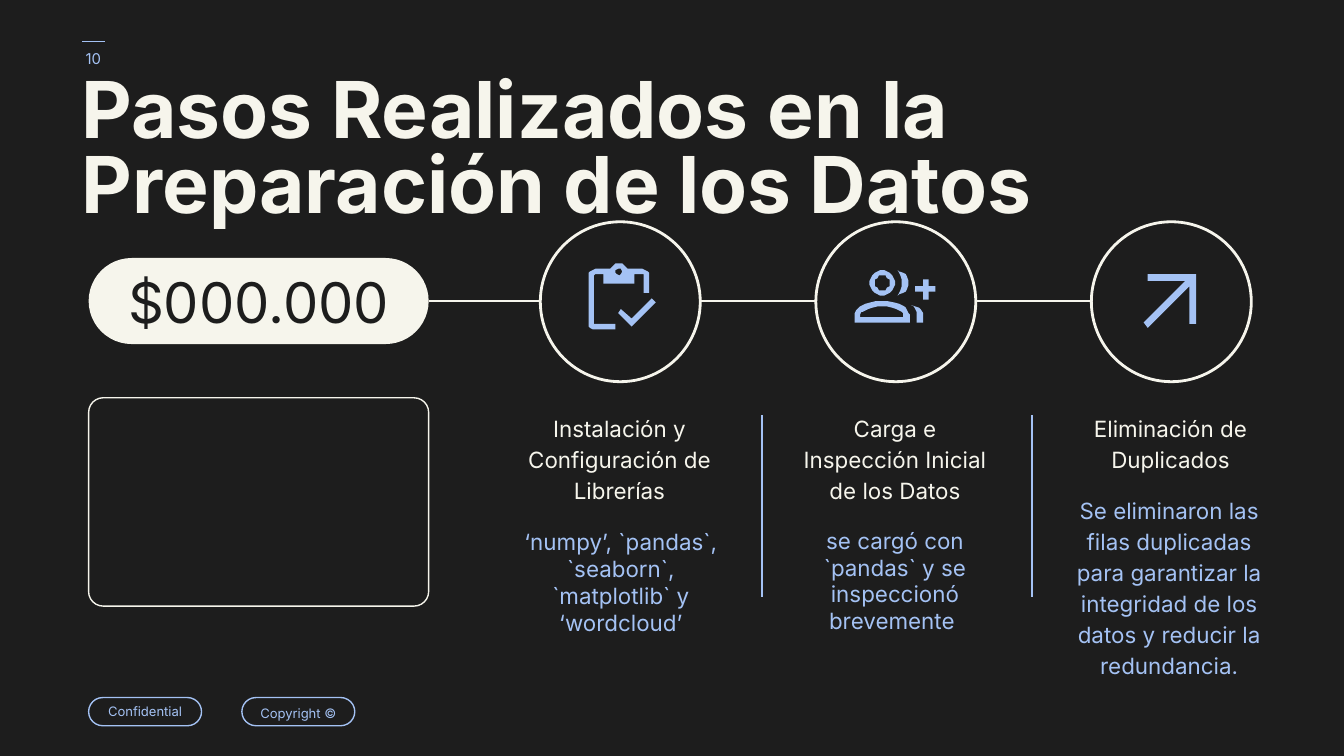
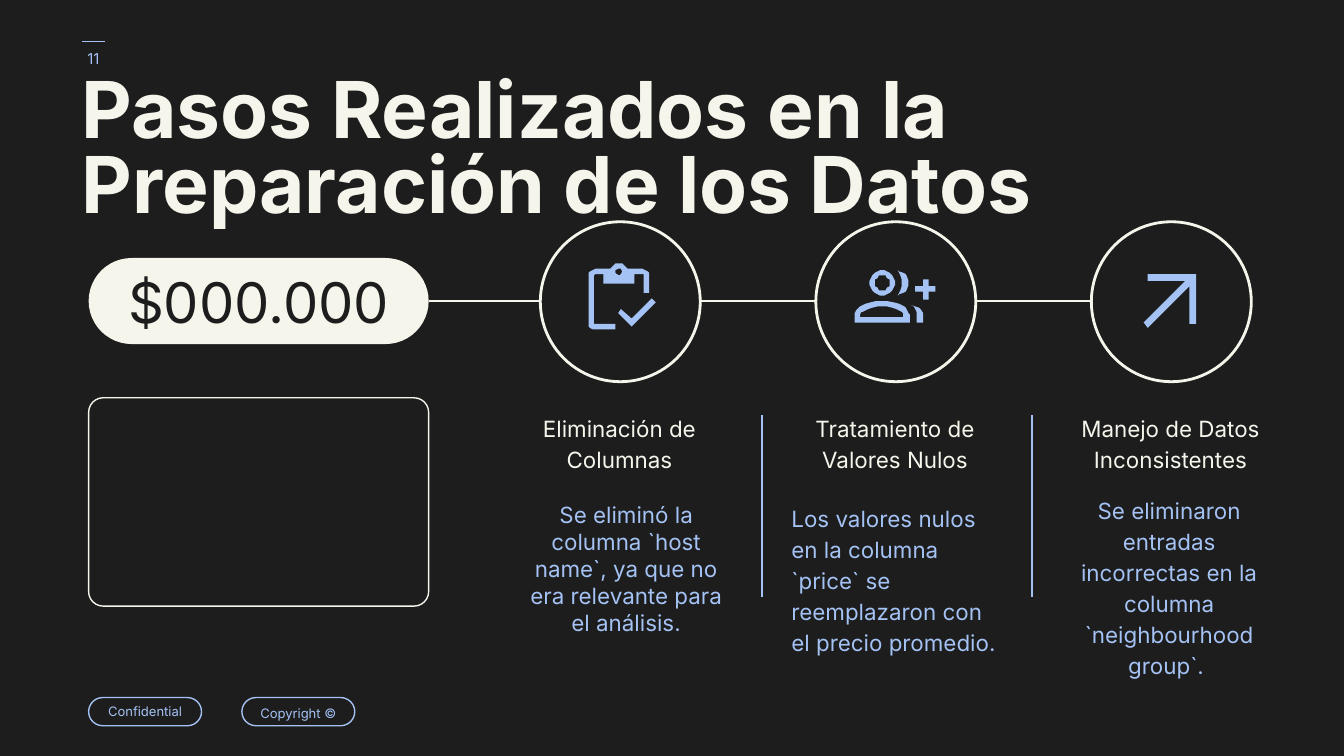
from dataclasses import dataclass

from lxml.etree import SubElement
from pptx import Presentation
from pptx.dml.color import RGBColor
from pptx.enum.shapes import MSO_CONNECTOR, MSO_SHAPE
from pptx.enum.text import MSO_ANCHOR, PP_ALIGN
from pptx.oxml.ns import qn
from pptx.util import Emu, Pt

PX = 9144  # EMU per px, 100 px to the inch
SLIDE_WIDTH = 1000 * PX
SLIDE_HEIGHT = SLIDE_WIDTH * 9 // 16
FONT = "Inter"
COLORS = {"dark": "1D1D1D", "cream": "F6F5EC", "blue": "A4C2F4"}
TITLE = "Pasos Realizados en la Preparación de los Datos"

# Timeline of steps
STEP_LEFT, STEP_PITCH, STEP_TOP, STEP_SIZE = 402, 205, 165, 119
TIMELINE_Y = 224
PANEL_LEFT, PANEL_WIDTH = 66, 253
DIVIDERS = (567, 768)

# Icons: each is a list of closed outlines, in px on the page
CLIPBOARD_ICON = [
    [(461, 200), (462, 200), (463, 202), (462, 204), (461, 205), (459, 204),
     (458, 203), (458, 201), (460, 200)],
    [(485, 222), (470, 237), (462, 230), (460, 233), (470, 243), (488, 225)],
    [(461, 196), (458, 196), (457, 197), (455, 199), (454, 200), (443, 200),
     (441, 201), (439, 202), (438, 203), (438, 243), (439, 244), (441, 245),
     (458, 245), (458, 241), (442, 241), (442, 205), (443, 204), (449, 204),
     (449, 211), (472, 211), (472, 204), (479, 204), (479, 218), (483, 218),
     (483, 203), (482, 202), (480, 201), (478, 200), (467, 200), (466, 199),
     (464, 197), (463, 196)],
]
PEOPLE_ICON = [
    # Head, its inside and the head behind it
    [(655, 201), (651, 203), (649, 205), (647, 209), (647, 212), (649, 216),
     (651, 218), (655, 220), (658, 220), (662, 218), (664, 216), (666, 212),
     (666, 209), (664, 205), (662, 203), (658, 201)],
    [(656, 205), (659, 205), (660, 207), (662, 208), (662, 213), (660, 214),
     (659, 216), (654, 216), (653, 214), (651, 213), (651, 208), (653, 207),
     (654, 205)],
    [(668, 201), (669, 203), (670, 205), (671, 208), (671, 213), (670, 216),
     (669, 218), (668, 220), (669, 219), (672, 218), (674, 217), (675, 215),
     (676, 212), (676, 209), (675, 206), (674, 204), (672, 203), (669, 202)],
    # Plus sign
    [(687, 208), (687, 213), (681, 213), (681, 217), (687, 217), (687, 223),
     (691, 223), (691, 217), (696, 217), (696, 213), (691, 213), (691, 208)],
    # Shoulders, their inside and the shoulder behind them
    [(656, 224), (652, 224), (648, 225), (644, 226), (640, 228), (639, 229),
     (637, 231), (636, 233), (636, 240), (677, 240), (677, 234), (676, 233),
     (675, 231), (674, 229), (673, 228), (669, 226), (665, 225), (660, 224)],
    [(656, 228), (660, 228), (664, 229), (667, 230), (671, 232), (672, 233),
     (672, 236), (640, 236), (640, 234), (641, 232), (642, 232), (646, 230),
     (649, 229), (653, 228)],
    [(678, 227), (680, 228), (681, 230), (682, 232), (682, 240), (687, 240),
     (687, 233), (685, 230), (684, 229), (681, 228)],
]
ARROW_ICON = [
    [(854, 204), (854, 209), (882, 209), (851, 240), (854, 244), (885, 213),
     (885, 241), (890, 241), (890, 204)],
]
ICONS = (CLIPBOARD_ICON, PEOPLE_ICON, ARROW_ICON)


@dataclass(frozen=True)
class Box:
    left: int
    top: int
    width: int
    height: int

    def emu(self) -> list[Emu]:
        return [Emu(n * PX) for n in (self.left, self.top, self.width, self.height)]


@dataclass(frozen=True)
class Style:
    size: int
    color: str
    align: PP_ALIGN = PP_ALIGN.CENTER
    spacing: float = 1.0
    bold: bool = False
    anchor: MSO_ANCHOR = MSO_ANCHOR.TOP


@dataclass(frozen=True)
class Step:
    heading: str
    detail: str
    box: Box
    spacing: float = 1.0
    align: PP_ALIGN = PP_ALIGN.CENTER


@dataclass(frozen=True)
class StepPage:
    number: int
    steps: tuple[Step, ...]


TITLE_STYLE = Style(42, "cream", PP_ALIGN.LEFT, 0.8, bold=True)
HEADING_STYLE = Style(12, "cream", spacing=1.15)
NUMBER_STYLE = Style(8, "blue", anchor=MSO_ANCHOR.MIDDLE)
AMOUNT_STYLE = Style(30, "dark", anchor=MSO_ANCHOR.MIDDLE)
FOOTERS = (
    ("Confidential", 66, Style(7, "blue", anchor=MSO_ANCHOR.MIDDLE)),
    ("Copyright ©", 180, Style(7, "blue", spacing=1.15, anchor=MSO_ANCHOR.MIDDLE)),
)

PAGES = (
    StepPage(10, (
        Step("Instalación y Configuración de Librerías",
             "‘numpy’, `pandas`, `seaborn`, `matplotlib` y ‘wordcloud’",
             Box(374, 383, 176, 119)),
        Step("Carga e Inspección Inicial de los Datos",
             "se cargó con `pandas` y se inspeccionó brevemente ",
             Box(578, 382, 176, 119)),
        Step("Eliminación de Duplicados",
             "Se eliminaron las filas duplicadas para garantizar la integridad "
             "de los datos y reducir la redundancia.",
             Box(782, 357, 176, 119), 1.15),
    )),
    StepPage(11, (
        Step("Eliminación de Columnas",
             "Se eliminó la columna `host name`, ya que no era relevante para "
             "el análisis.",
             Box(378, 363, 176, 119)),
        Step("Tratamiento de Valores Nulos",
             "Los valores nulos en la columna `price` se reemplazaron con el "
             "precio promedio.",
             Box(579, 363, 176, 194), 1.15, PP_ALIGN.LEFT),
        Step("Manejo de Datos Inconsistentes",
             "Se eliminaron entradas incorrectas en la columna "
             "`neighbourhood group`. ",
             Box(782, 357, 176, 197), 1.15),
    )),
)


def rgb(name: str) -> RGBColor:
    return RGBColor.from_string(COLORS[name])


def write(shape, text: str, style: Style) -> None:
    frame = shape.text_frame
    frame.word_wrap = True
    frame.vertical_anchor = style.anchor
    frame.margin_left = frame.margin_right = Emu(10 * PX)
    frame.margin_top = frame.margin_bottom = Emu(10 * PX)
    para = frame.paragraphs[0]
    para.text = text
    para.alignment = style.align
    para.line_spacing = style.spacing
    para.font.name = FONT
    para.font.size = Pt(style.size)
    para.font.bold = style.bold
    para.font.color.rgb = rgb(style.color)


def add_text(page, box: Box, text: str, style: Style) -> None:
    write(page.shapes.add_textbox(*box.emu()), text, style)


def add_outline(page, kind: MSO_SHAPE, box: Box, color: str, weight: float,
                radius: float | None = None):
    shape = page.shapes.add_shape(kind, *box.emu())
    shape.shadow.inherit = False
    shape.fill.background()
    shape.line.color.rgb = rgb(color)
    shape.line.width = Pt(weight)
    if radius is not None:
        shape.adjustments[0] = radius
    return shape


def add_line(page, start: tuple[int, int], end: tuple[int, int], color: str,
             weight: float) -> None:
    ends = [Emu(n * PX) for n in (*start, *end)]
    line = page.shapes.add_connector(MSO_CONNECTOR.STRAIGHT, *ends)
    line.line.color.rgb = rgb(color)
    line.line.width = Pt(weight)
    SubElement(line._element.spPr, qn("a:effectLst"))


def add_icon(page, outlines: list[list[tuple[int, int]]]) -> None:
    builder = page.shapes.build_freeform(*outlines[0][0], scale=PX)
    for index, (first, *rest) in enumerate(outlines):
        if index:
            builder.move_to(*first)
        builder.add_line_segments(rest, close=True)
    icon = builder.convert_to_shape()
    icon.shadow.inherit = False
    icon.fill.solid()
    icon.fill.fore_color.rgb = rgb("blue")
    icon.line.fill.background()


def add_frame(page, number: int) -> None:
    page.background.fill.solid()
    page.background.fill.fore_color.rgb = rgb("dark")
    # Page number
    add_text(page, Box(46, 22, 47, 43), str(number), NUMBER_STYLE)
    add_line(page, (78, 31), (61, 31), "blue", 0.75)
    # Footer labels
    for text, left, style in FOOTERS:
        label = add_outline(page, MSO_SHAPE.ROUNDED_RECTANGLE,
                            Box(left, 519, 84, 21), "blue", 0.75, 0.5)
        write(label, text, style)


def add_timeline(page) -> None:
    line_start = PANEL_LEFT + PANEL_WIDTH
    for index, icon in enumerate(ICONS):
        left = STEP_LEFT + index * STEP_PITCH
        add_line(page, (line_start, TIMELINE_Y), (left, TIMELINE_Y), "cream", 1.5)
        add_outline(page, MSO_SHAPE.FLOWCHART_CONNECTOR,
                    Box(left, STEP_TOP, STEP_SIZE, STEP_SIZE), "cream", 1.5)
        add_icon(page, icon)
        line_start = left + STEP_SIZE


def add_panel(page) -> None:
    add_outline(page, MSO_SHAPE.ROUNDED_RECTANGLE,
                Box(PANEL_LEFT, 296, PANEL_WIDTH, 155), "cream", 0.75, 0.07)
    amount = add_outline(page, MSO_SHAPE.ROUNDED_RECTANGLE,
                         Box(PANEL_LEFT, 192, PANEL_WIDTH, 64), "cream", 0.75, 0.5)
    amount.fill.solid()
    amount.fill.fore_color.rgb = rgb("cream")
    amount.line.fill.background()
    write(amount, "$000.000", AMOUNT_STYLE)


def add_steps(page, steps: tuple[Step, ...]) -> None:
    for index, step in enumerate(steps):
        left = STEP_LEFT - 21 + index * STEP_PITCH
        add_text(page, Box(left, 296, 160, 30), step.heading, HEADING_STYLE)
        add_text(page, step.box, step.detail,
                 Style(12, "blue", step.align, step.spacing))
    for x in DIVIDERS:
        add_line(page, (x, 309), (x, 444), "blue", 0.75)


def main() -> None:
    deck = Presentation()
    deck.slide_width, deck.slide_height = Emu(SLIDE_WIDTH), Emu(SLIDE_HEIGHT)
    for content in PAGES:
        page = deck.slides.add_slide(deck.slide_layouts[6])
        add_frame(page, content.number)
        add_timeline(page)
        add_panel(page)
        add_text(page, Box(51, 48, 740, 135), TITLE, TITLE_STYLE)
        add_steps(page, content.steps)
    deck.save("out.pptx")


if __name__ == "__main__":
    main()
